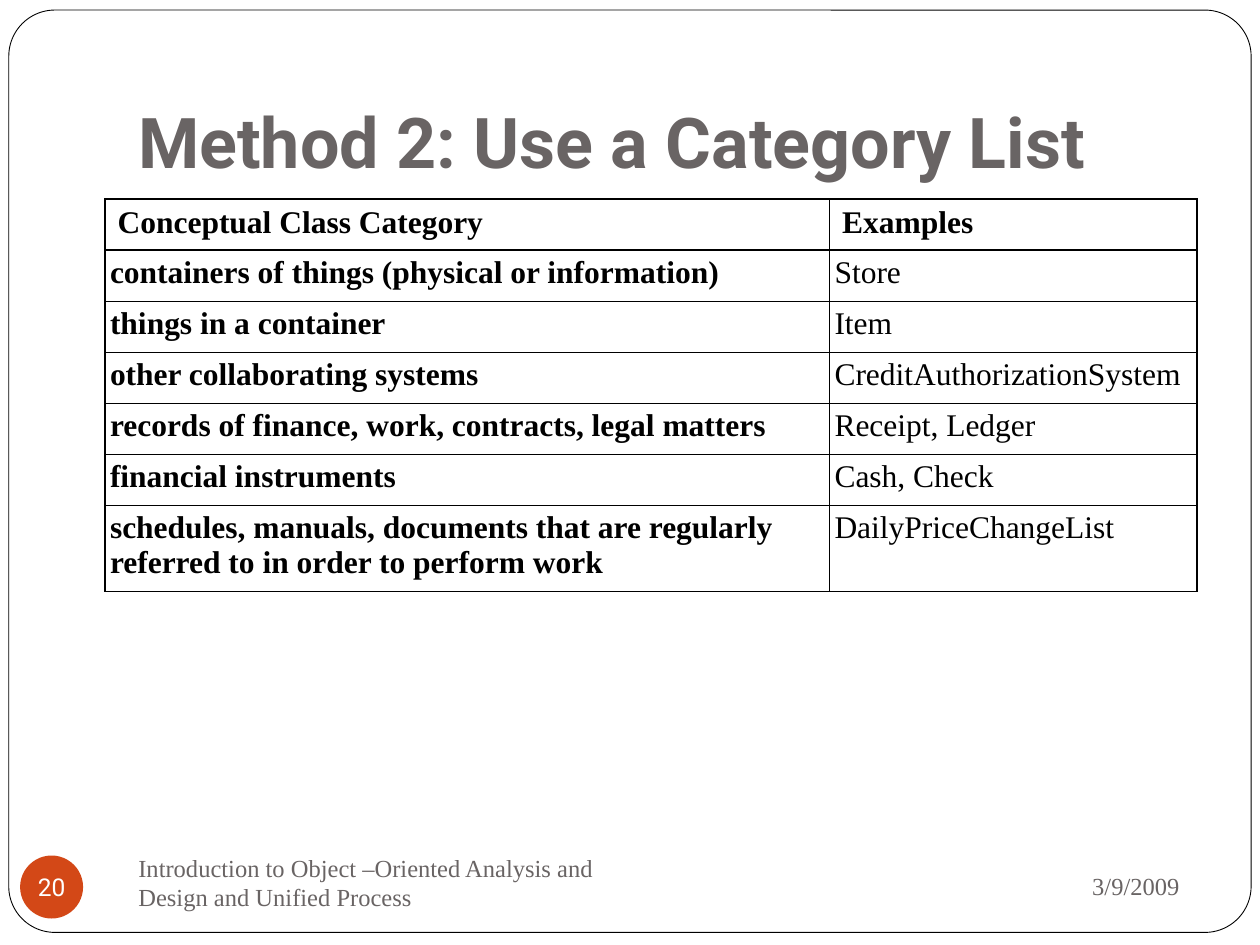
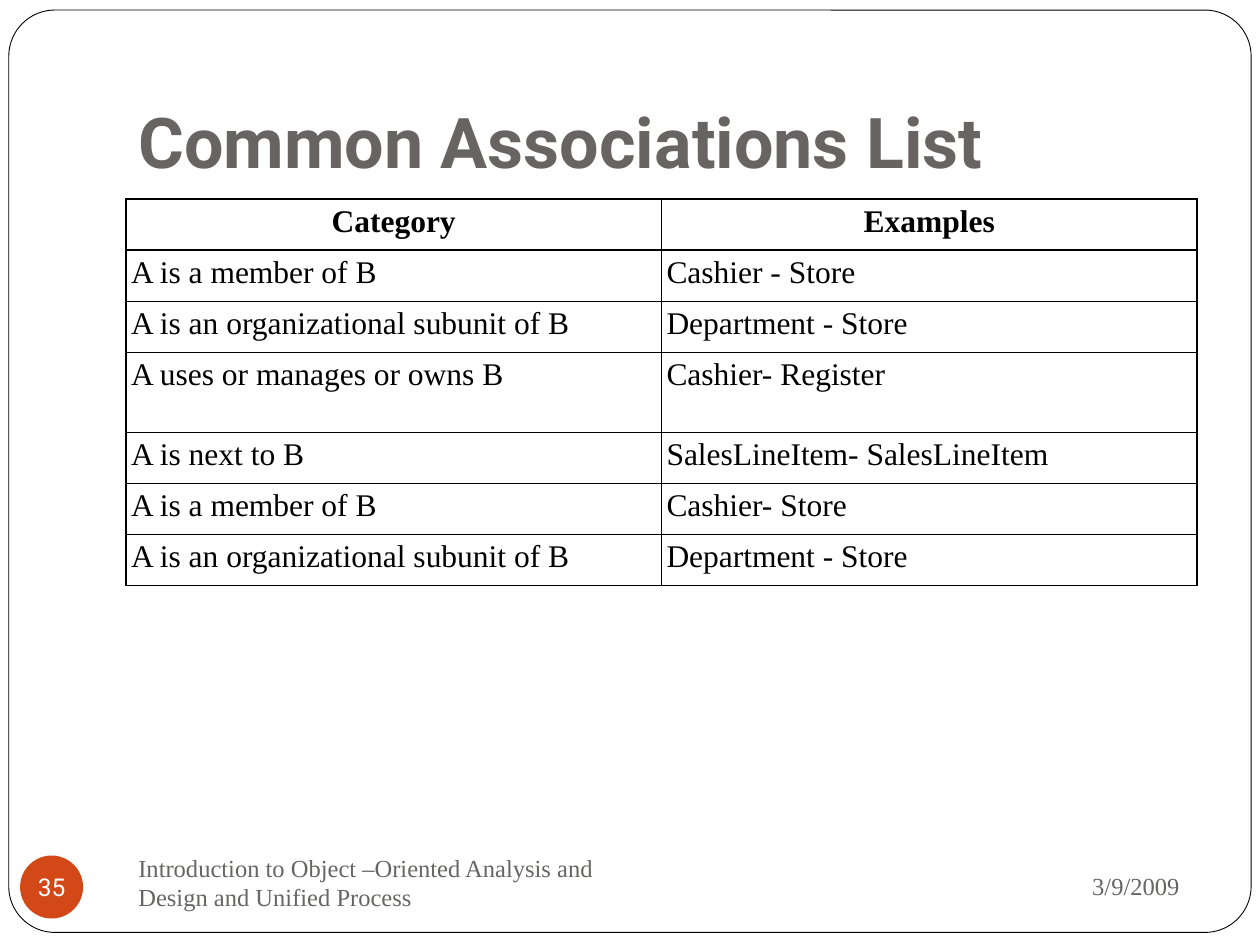
from lxml import etree
from pptx import Presentation
from pptx import util as u
from pptx.dml import color
from pptx.enum import shapes, text
from pptx.oxml import ns

Pt = u.Pt
BLACK, WHITE, GREY, ORANGE = "000000", "FFFFFF", "696464", "D34817"
SERIF, SANS = "Times New Roman", "Roboto"
LEFT, CENTER, RIGHT = text.PP_ALIGN.LEFT, text.PP_ALIGN.CENTER, text.PP_ALIGN.RIGHT
TOP, MIDDLE, BOTTOM = text.MSO_ANCHOR.TOP, text.MSO_ANCHOR.MIDDLE, text.MSO_ANCHOR.BOTTOM
WIDE_INSETS = (7.2, 3.6, 7.2, 3.6)
TIGHT_INSETS = (2.88,) * 4
ROW_H, TALL_ROW_H = 29.2, 45.7
TABLE_TOP = 113.76
DATE = "3/9/2009"
COURSE = "Introduction to Object –Oriented Analysis and Design and Unified Process"

CATEGORIES = [
    ("Conceptual Class Category", "Examples"),
    ("containers of things (physical or information)", "Store"),
    ("things in a container", "Item"),
    ("other collaborating systems", "CreditAuthorizationSystem"),
    ("records of finance, work, contracts, legal matters", "Receipt, Ledger"),
    ("financial instruments", "Cash, Check"),
    ("schedules, manuals, documents that are regularly referred to "
     "in order to perform work", "DailyPriceChangeList"),
]
ASSOCIATIONS = [
    ("Category", "Examples"),
    ("A is a member of B", "Cashier - Store"),
    ("A is an organizational subunit of B", "Department - Store"),
    ("A uses or manages or owns B", "Cashier- Register"),
    ("A is next to B", "SalesLineItem- SalesLineItem"),
    ("A is a member of B", "Cashier- Store"),
    ("A is an organizational subunit of B", "Department - Store"),
]


def rgb(hex_color):
    return color.RGBColor.from_string(hex_color)


def write(tf, content, size=14, font=SERIF, fill=GREY, bold=False, align=LEFT):
    p = tf.paragraphs[0]
    p.alignment = align
    r = p.add_run()
    r.text = content
    r.font.size = Pt(size)
    r.font.name = font
    r.font.bold = bold
    r.font.color.rgb = rgb(fill)


def set_insets(target, insets):
    (target.margin_left, target.margin_top,
     target.margin_right, target.margin_bottom) = map(Pt, insets)


def add_text(s, box, content, insets=WIDE_INSETS, anchor=MIDDLE, **style):
    tf = s.shapes.add_textbox(*map(Pt, box)).text_frame
    tf.word_wrap = True
    tf.vertical_anchor = anchor
    set_insets(tf, insets)
    write(tf, content, **style)


def add_shape(s, kind, box, fill, line=None):
    sp = s.shapes.add_shape(kind, *map(Pt, box))
    sp.shadow.inherit = False
    sp.fill.solid()
    sp.fill.fore_color.rgb = rgb(fill)
    if line:
        sp.line.color.rgb = rgb(line)
        sp.line.width = Pt(0.5)
    else:
        sp.line.fill.background()
    return sp


def add_page_number(s, number):
    sp = add_shape(s, shapes.MSO_SHAPE.OVAL, (11.52, 488.88, 36, 36), ORANGE)
    tf = sp.text_frame
    tf.word_wrap = False
    tf.vertical_anchor = MIDDLE
    set_insets(tf, (0,) * 4)
    write(tf, str(number), font=SANS, fill=WHITE, align=CENTER)


def set_borders(cell):
    tc_pr = cell._tc.get_or_add_tcPr()
    for side in ("lnL", "lnR", "lnT", "lnB"):
        ln = etree.SubElement(tc_pr, ns.qn("a:" + side), w=str(Pt(1)))
        fill = etree.SubElement(ln, ns.qn("a:solidFill"))
        etree.SubElement(fill, ns.qn("a:srgbClr"), val=BLACK)


def add_table(s, left, widths, rows, tall_row, header_align=LEFT,
              header_insets=TIGHT_INSETS, bold_first=False):
    heights = [TALL_ROW_H if i == tall_row else ROW_H for i in range(len(rows))]
    frame = s.shapes.add_table(len(rows), len(widths), Pt(left), Pt(TABLE_TOP),
                               Pt(sum(widths)), Pt(sum(heights)))
    table = frame.table
    table.first_row = table.horz_banding = False
    for column, width in zip(table.columns, widths):
        column.width = Pt(width)
    for i, (row, height) in enumerate(zip(rows, heights)):
        table.rows[i].height = Pt(height)
        for j, content in enumerate(row):
            header = i == 0
            cell = table.cell(i, j)
            set_borders(cell)
            cell.fill.background()
            cell.vertical_anchor = TOP
            set_insets(cell, header_insets if header else TIGHT_INSETS)
            write(cell.text_frame, content, size=18, fill=BLACK,
                  bold=header or (bold_first and j == 0),
                  align=header_align if header else LEFT)


def add_slide(prs, title, number):
    s = prs.slides.add_slide(prs.slide_layouts[6])
    frame = add_shape(s, shapes.MSO_SHAPE.ROUNDED_RECTANGLE,
                      (5.04, 5.76, 709.92, 527.04), WHITE, line=BLACK)
    frame.adjustments[0] = 0.05
    add_text(s, (72, 21.6, 612, 90), title, insets=(7.2, 3.6, 7.2, 7.2),
             anchor=BOTTOM, size=40, font=SANS, bold=True)
    add_text(s, (486, 487.44, 195.12, 37.44), DATE, align=RIGHT)
    add_text(s, (72, 486, 311.76, 36), COURSE)
    add_page_number(s, number)
    return s


def main():
    prs = Presentation()
    prs.slide_width, prs.slide_height = Pt(720), Pt(540)

    s = add_slide(prs, "Method 2: Use a Category List", 20)
    add_table(s, 60, (414, 210), CATEGORIES, tall_row=6,
              header_insets=WIDE_INSETS, bold_first=True)

    s = add_slide(prs, "Common Associations List", 35)
    add_table(s, 72, (306, 306), ASSOCIATIONS, tall_row=3, header_align=CENTER)

    prs.save("out.pptx")


if __name__ == "__main__":
    main()
